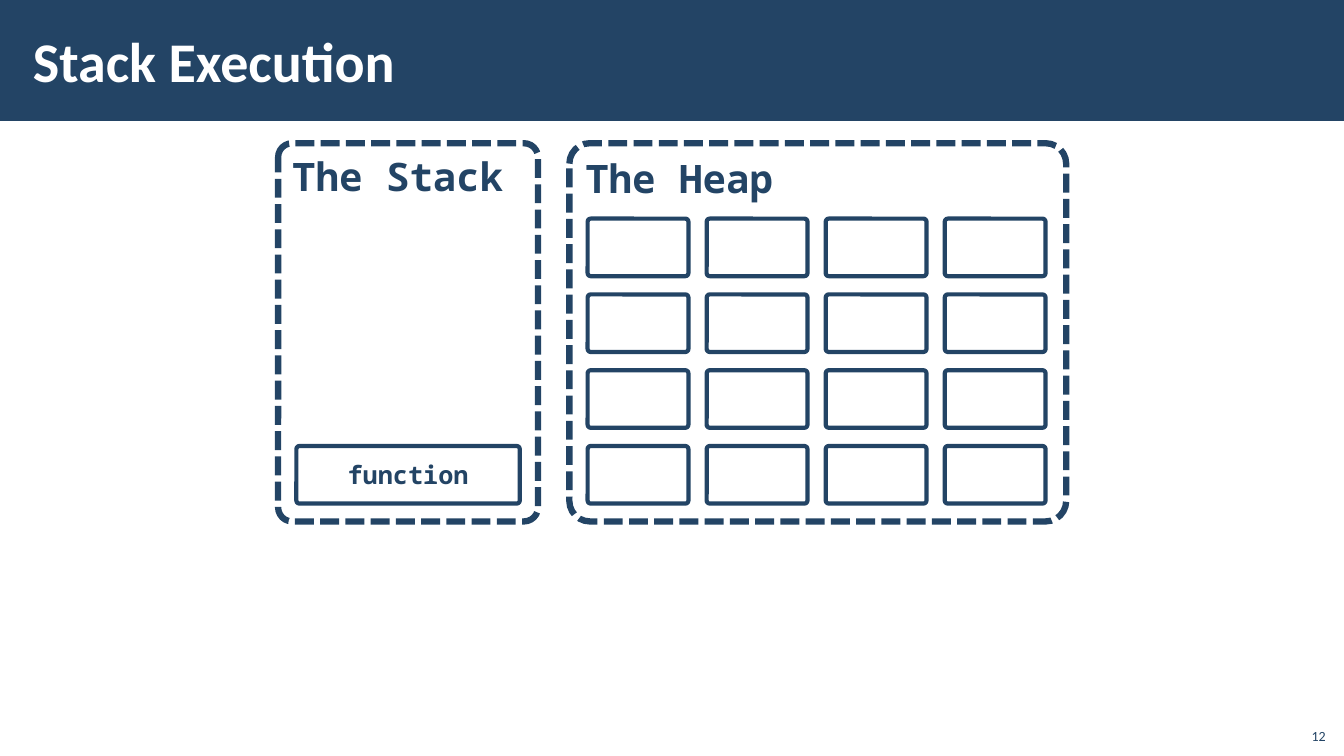
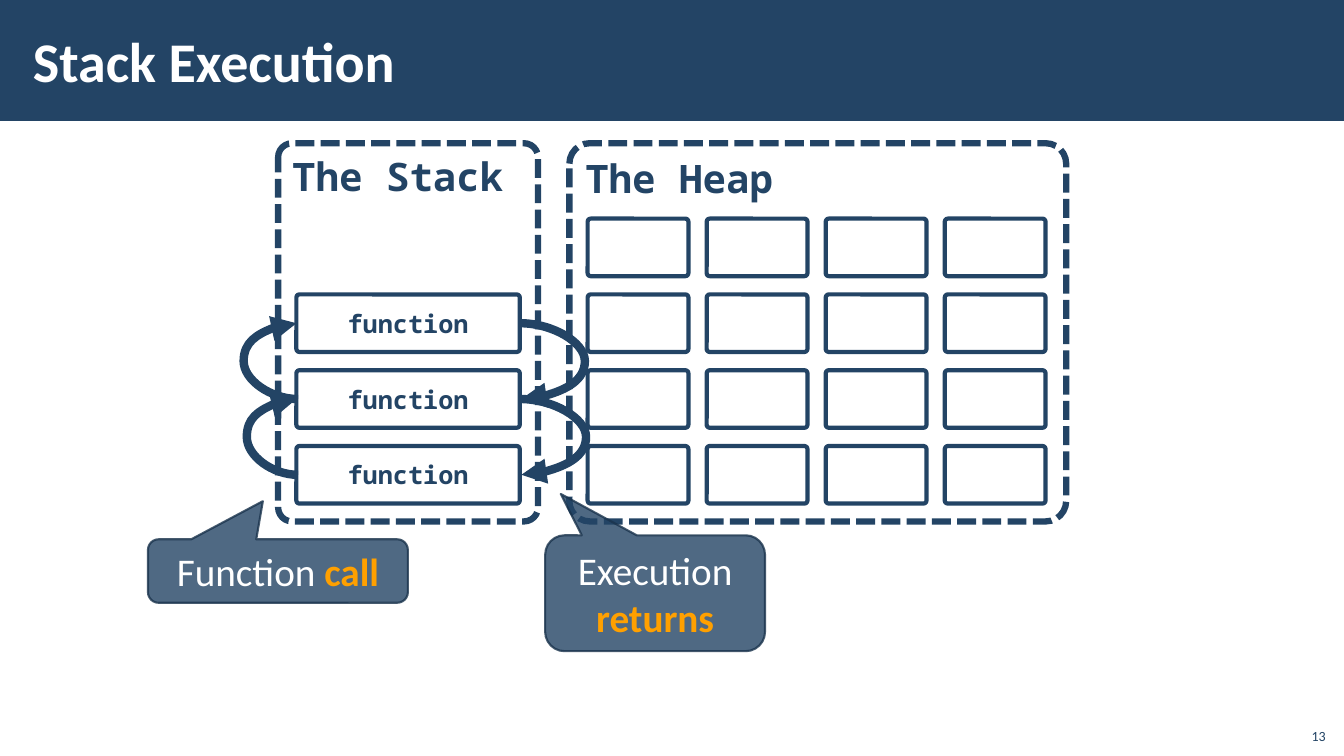
from pptx import Presentation
from pptx.dml.color import RGBColor
from pptx.enum.dml import MSO_LINE
from pptx.enum.shapes import MSO_CONNECTOR, MSO_SHAPE
from pptx.enum.text import MSO_ANCHOR, MSO_AUTO_SIZE, PP_ALIGN
from pptx.oxml.ns import qn
from pptx.util import Cm, Pt
from lxml.etree import SubElement

COLORS = {"navy": "234465", "edge": "1A334C", "accent": "FFA000", "white": "FFFFFF"}
SANS, MONO = "Calibri", "Noto Sans Mono"
SLIDE_W, SLIDE_H = 33.87, 19.05

STACK_BOX = (7.01, 3.61, 6.55, 9.53)
HEAP_BOX = (14.35, 3.61, 12.52, 9.53)
ROWS, COLS = 4, 4
INSET, FIRST_ROW = 0.46, 1.9
ROW_PITCH, COL_PITCH = 1.91, 3
CELL_W, CELL_H = 2.54, 1.45
ARROW_W = 0.04


def color(name):
    return RGBColor.from_string(COLORS[name])


def style_run(r, size, name="navy", font=SANS, bold=False):
    r.font.size, r.font.name, r.font.bold = Pt(size), font, bold
    r.font.color.rgb = color(name)


def set_text(sp, text, size, name="navy", font=SANS, bold=False,
             align=PP_ALIGN.LEFT, anchor=MSO_ANCHOR.MIDDLE):
    tf = sp.text_frame
    tf.word_wrap, tf.vertical_anchor = True, anchor
    p = tf.paragraphs[0]
    p.text, p.alignment = text, align
    style_run(p.runs[0], size, name, font, bold)


def set_insets(tf, side, end):
    tf.margin_left = tf.margin_right = Cm(side)
    tf.margin_top = tf.margin_bottom = Cm(end)


def add_shape(slide, kind, box, adjustments=(), line=None, width=0, fill=None):
    sp = slide.shapes.add_shape(kind, *map(Cm, box))
    sp.shadow.inherit = False
    for i, value in enumerate(adjustments):
        sp.adjustments[i] = value
    if fill:
        sp.fill.solid()
        sp.fill.fore_color.rgb = color(fill)
    else:
        sp.fill.background()
    if line:
        sp.line.color.rgb = color(line)
        sp.line.width = Pt(width)
    else:
        sp.line.fill.background()
    return sp


def add_base_slide(prs, title, number):
    """Add a blank-layout slide with the title band and page number."""
    slide = prs.slides.add_slide(prs.slide_layouts[6])
    add_shape(slide, MSO_SHAPE.RECTANGLE, (0, 0, SLIDE_W, 3.05), fill="navy")
    heading = slide.shapes.add_textbox(Cm(0.53), Cm(0.28), Cm(27), Cm(2.46))
    set_insets(heading.text_frame, 0.3, 0.1)
    set_text(heading, title, 40, "white", bold=True)
    page = slide.shapes.add_textbox(Cm(32.64), Cm(18.08), Cm(1.02), Cm(0.81))
    set_text(page, str(number), 10, align=PP_ALIGN.RIGHT, anchor=MSO_ANCHOR.BOTTOM)
    return slide


def add_memory_frame(slide, box, label):
    sp = add_shape(slide, MSO_SHAPE.ROUNDED_RECTANGLE, box, [0.054], "navy", 4.5)
    sp.line.dash_style = MSO_LINE.SQUARE_DOT
    set_text(sp, label, 28, font=MONO, bold=True, anchor=MSO_ANCHOR.TOP)


def add_cell(slide, box, row, col=0, width=CELL_W):
    """Place a cell on the row and column grid of a memory frame."""
    x = box[0] + INSET + col * COL_PITCH
    y = box[1] + FIRST_ROW + row * ROW_PITCH
    return add_shape(slide, MSO_SHAPE.ROUNDED_RECTANGLE, (x, y, width, CELL_H),
                     [0.053], "navy", 3)


def add_stack(slide, box, depth):
    """Draw the stack with depth functions piled up from the bottom row."""
    add_memory_frame(slide, box, "The Stack")
    for row in range(ROWS - 1, ROWS - 1 - depth, -1):
        sp = add_cell(slide, box, row, width=box[2] - 2 * INSET)
        set_text(sp, "function", 18, font=MONO, bold=True, align=PP_ALIGN.CENTER)


def add_heap(slide, box):
    add_memory_frame(slide, box, "The Heap")
    for row in range(ROWS):
        for col in range(COLS):
            add_cell(slide, box, row, col)


def add_curved_arrow(slide, x, upper_row, box, bulge, upward=False):
    """Link a stack row with the next one; upward arrows bulge to the left."""
    y = box[1] + FIRST_ROW + CELL_H / 2 + upper_row * ROW_PITCH
    cxn = slide.shapes.add_connector(MSO_CONNECTOR.CURVE, Cm(x), Cm(y),
                                     Cm(x + ARROW_W), Cm(y + ROW_PITCH))
    cxn.line.color.rgb = color("navy")
    cxn.line.width = Pt(6)
    spPr = cxn._element.spPr
    if upward:
        spPr.find(qn("a:xfrm")).set("rot", "10800000")
    guides = spPr.find(qn("a:prstGeom")).get_or_add_avLst()
    SubElement(guides, qn("a:gd"), name="adj1",
               fmla=f"val {round(bulge / ARROW_W * 100000)}")
    SubElement(spPr.find(qn("a:ln")), qn("a:tailEnd"), type="triangle")
    SubElement(spPr, qn("a:effectLst"))


def add_call_arrows(slide, box):
    for row, bulge in ((2, 1.29), (1, 1.37)):
        add_curved_arrow(slide, box[0] + INSET, row, box, bulge, upward=True)


def add_return_arrows(slide, box):
    right = box[0] + box[2] - INSET
    for row, bulge in ((1, 1.64), (2, 1.67)):
        add_curved_arrow(slide, right, row, box, bulge)


def add_callout(slide, box, pointer, text, keyword):
    sp = add_shape(slide, MSO_SHAPE.ROUNDED_RECTANGULAR_CALLOUT, box,
                   (*pointer, 0.167), "edge", 1.5, "navy")
    for clr in sp._element.spPr.iter(qn("a:srgbClr")):
        SubElement(clr, qn("a:alpha"), val="80000")
    tf = sp.text_frame
    set_insets(tf, 0.51, 0.13)
    set_text(sp, text, 28, "white", align=PP_ALIGN.CENTER)
    r = tf.paragraphs[0].add_run()
    r.text = keyword
    style_run(r, 28, "accent", bold=True)
    tf.auto_size = MSO_AUTO_SIZE.SHAPE_TO_FIT_TEXT


def add_memory_slide(prs, number, depth):
    slide = add_base_slide(prs, "Stack Execution", number)
    add_stack(slide, STACK_BOX, depth)
    add_heap(slide, HEAP_BOX)
    return slide


def main():
    prs = Presentation()
    prs.slide_width, prs.slide_height = Cm(SLIDE_W), Cm(SLIDE_H)
    add_memory_slide(prs, 12, depth=1)
    slide = add_memory_slide(prs, 13, depth=3)
    add_callout(slide, (3.73, 13.59, 6.55, 1.6), (-0.058, -1.1), "Function ", "call")
    add_call_arrows(slide, STACK_BOX)
    add_callout(slide, (13.74, 13.49, 5.54, 2.92), (-0.429, -0.857),
                "Execution ", "returns")
    add_return_arrows(slide, STACK_BOX)
    prs.save("out.pptx")


if __name__ == "__main__":
    main()
